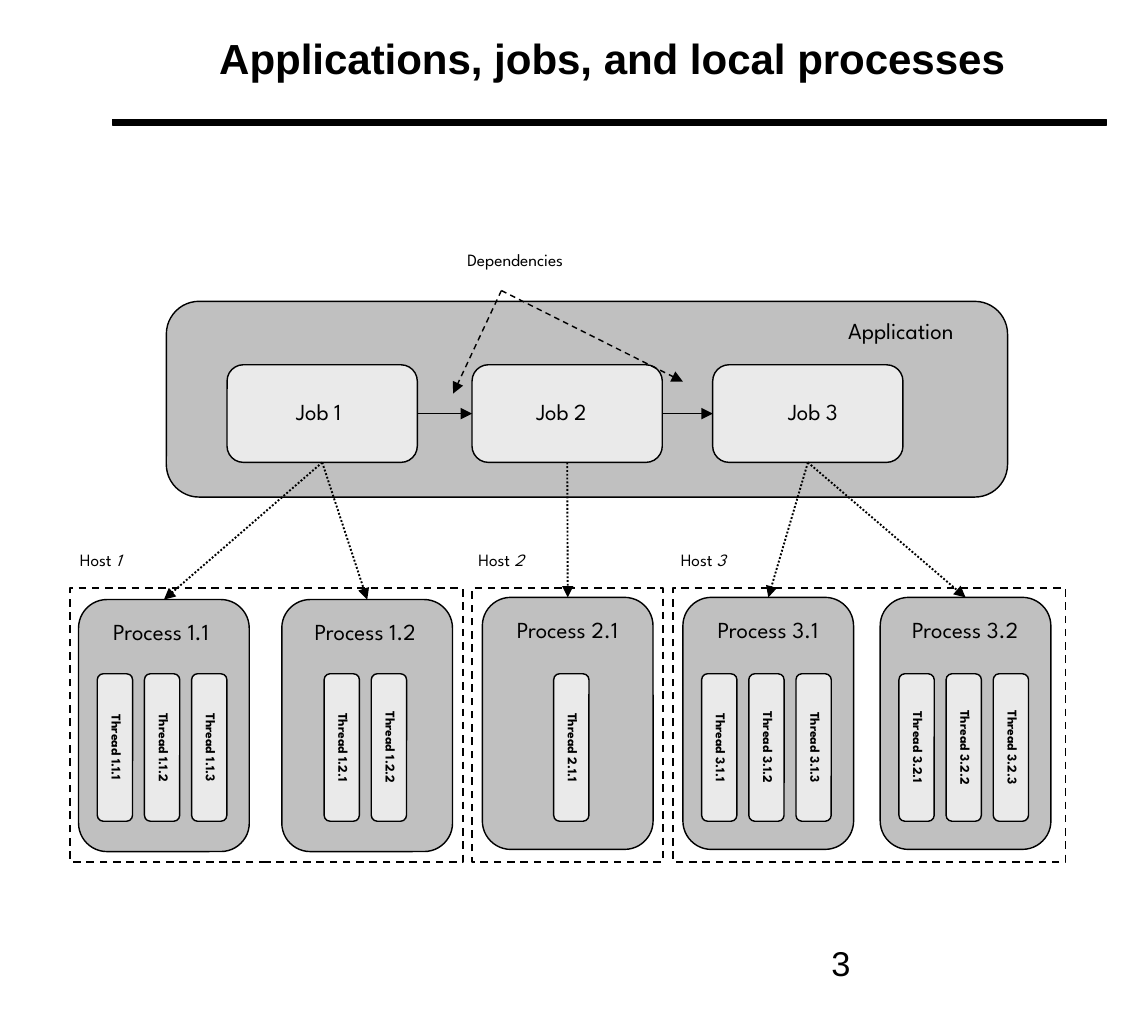
"""Build the slide on applications, jobs and local processes."""
from dataclasses import dataclass
from itertools import pairwise

from lxml.etree import SubElement
from pptx import Presentation
from pptx.dml.color import RGBColor
from pptx.enum.dml import MSO_LINE
from pptx.enum.shapes import MSO_CONNECTOR, MSO_SHAPE
from pptx.enum.text import MSO_ANCHOR, MSO_AUTO_SIZE, PP_ALIGN
from pptx.oxml.ns import qn
from pptx.util import Cm, Pt

BLACK, GREY, PALE = "000000", "C0C0C0", "EAEAEA"
CORNER = 0.167
JOB_TOP, JOB_WIDTH, JOB_HEIGHT = 6.73, 3.51, 1.8
PROCESS_WIDTH, PROCESS_HEIGHT = 3.15, 4.65
THREAD_LENGTH, THREAD_BREADTH, THREAD_STEP, THREAD_Y = 2.72, 0.65, 0.87, 13.79


@dataclass(frozen=True)
class Job:
    title: str
    left: float
    title_center: float

    @property
    def center(self) -> float:
        return self.left + JOB_WIDTH / 2


@dataclass(frozen=True)
class Process:
    number: str
    job: Job
    left: float
    threads: int
    top: float = 11.02
    title_shift: float = 0
    threads_middle: float = 1.54

    @property
    def center(self) -> float:
        return self.left + PROCESS_WIDTH / 2


@dataclass(frozen=True)
class Host:
    number: str
    label_left: float
    left: float
    width: float


JOBS = [Job("Job 1", 4.19, 5.88), Job("Job 2", 8.71, 10.36), Job("Job 3", 13.15, 15)]
PROCESSES = [
    Process("1.1", JOBS[0], 1.45, 3, top=11.06, title_shift=-0.05),
    Process("1.2", JOBS[0], 5.2, 2, top=11.06, title_shift=-0.03),
    Process("2.1", JOBS[1], 8.9, 1, threads_middle=1.64),
    Process("3.1", JOBS[2], 12.6, 3),
    Process("3.2", JOBS[2], 16.24, 3),
]
HOSTS = [Host("1", 0, 1.3, 7.24), Host("2", 7.39, 8.71, 3.53), Host("3", 11.12, 12.42, 7.24)]

presentation = Presentation()
presentation.slide_width, presentation.slide_height = Cm(21.18), Cm(19)
slide = presentation.slides.add_slide(presentation.slide_layouts[6])


def color(value: str) -> RGBColor:
    return RGBColor.from_string(value)


def add_box(left: float, top: float, width: float, height: float, *, fill: str | None = None,
            rounded: bool = True, rotation: float = 0, weight: float = 0.75, dash=None) -> None:
    kind = MSO_SHAPE.ROUNDED_RECTANGLE if rounded else MSO_SHAPE.RECTANGLE
    box = slide.shapes.add_shape(kind, Cm(left), Cm(top), Cm(width), Cm(height))
    box.shadow.inherit = False
    box.rotation = rotation
    if rounded:
        box.adjustments[0] = CORNER
    if fill:
        box.fill.solid()
        box.fill.fore_color.rgb = color(fill)
    else:
        box.fill.background()
    box.line.color.rgb = color(BLACK)
    box.line.width = Pt(weight)
    if dash:
        box.line.dash_style = dash


def add_text(text: str, left: float, top: float, width: float, height: float, *,
             size: float = 12, font: str = "League Spartan", bold: bool = False,
             italic_end: str = "", align=PP_ALIGN.CENTER, wrap: bool = False,
             grow: bool = True, rotation: float = 0) -> None:
    label = slide.shapes.add_textbox(Cm(left), Cm(top), Cm(width), Cm(height))
    label.rotation = rotation
    frame = label.text_frame
    frame.margin_left = frame.margin_right = Cm(0.18)
    frame.margin_top = frame.margin_bottom = Cm(0.08)
    frame.vertical_anchor = MSO_ANCHOR.TOP
    frame.word_wrap = wrap
    frame.auto_size = MSO_AUTO_SIZE.SHAPE_TO_FIT_TEXT if grow else MSO_AUTO_SIZE.NONE
    paragraph = frame.paragraphs[0]
    paragraph.alignment = align
    for part, italic in ((text, False), (italic_end, True)):
        if part:
            run = paragraph.add_run()
            run.text = part
            run.font.size = Pt(size)
            run.font.name = font
            run.font.bold = bold
            run.font.italic = italic
            run.font.color.rgb = color(BLACK)


def add_arrow(start: tuple[float, float], end: tuple[float, float], *,
              weight: float = 0.75, dash=None) -> None:
    arrow = slide.shapes.add_connector(MSO_CONNECTOR.STRAIGHT, *map(Cm, start + end))
    arrow.line.color.rgb = color(BLACK)
    arrow.line.width = Pt(weight)
    if dash:
        arrow.line.dash_style = dash
    SubElement(arrow.get_or_add_ln(), qn("a:tailEnd"), type="triangle")
    SubElement(arrow._element.spPr, qn("a:effectLst"))


def draw_job(job: Job) -> None:
    add_box(job.left, JOB_TOP, JOB_WIDTH, JOB_HEIGHT, fill=PALE)
    add_text(job.title, job.title_center - 0.66, 7.25, 1.32, 0.69)


def draw_process(process: Process) -> None:
    add_box(process.left, process.top, PROCESS_WIDTH, PROCESS_HEIGHT, fill=GREY)
    add_text(f"Process {process.number}", process.center + process.title_shift - 1.3,
             process.top + 0.25, 2.59, 0.69)
    first = process.left + process.threads_middle - THREAD_STEP * (process.threads - 1) / 2
    for index in range(process.threads):
        x = first + index * THREAD_STEP
        add_box(x - THREAD_LENGTH / 2, THREAD_Y - THREAD_BREADTH / 2,
                THREAD_LENGTH, THREAD_BREADTH, fill=PALE, rotation=90)
        add_text(f"Thread {process.number}.{index + 1}", x - 0.88, THREAD_Y - 0.23,
                 1.83, 0.46, size=7, bold=True, rotation=90)
    add_arrow((process.job.center, JOB_TOP + JOB_HEIGHT), (process.center, process.top),
              weight=1, dash=MSO_LINE.ROUND_DOT)


def draw_host(host: Host) -> None:
    add_box(host.left, 10.85, host.width, 5.05, rounded=False, weight=1, dash=MSO_LINE.DASH)
    add_text("Host ", host.label_left, 10.06, 3.71, 0.56, size=9,
             italic_end=host.number, wrap=True)


def main() -> None:
    add_box(3.07, 5.56, 15.52, 3.61, fill=GREY)
    add_text("Application", 15.47, 5.76, 2.57, 0.69, align=PP_ALIGN.LEFT)
    for job in JOBS:
        draw_job(job)
    for process in PROCESSES:
        draw_process(process)
    for before, after in pairwise(JOBS):
        add_arrow((before.left + JOB_WIDTH, 7.63), (after.left, 7.63))
    add_text("Dependencies", 7.65, 4.52, 3.71, 0.56, size=9, wrap=True)
    for target in ((8.36, 7.26), (12.6, 7.04)):
        add_arrow((9.25, 5.36), target, dash=MSO_LINE.DASH)
    for host in HOSTS:
        draw_host(host)
    add_box(2.08, 2.21, 18.34, 0.1, fill=BLACK, rounded=False)
    add_text("Applications, jobs, and local processes", 3.3, 0.51, 16, 1.09,
             size=22, font="Arial", bold=True, wrap=True)
    add_text("3", 15.16, 17.3, 4.93, 1.32, size=18, font="Arial",
             align=PP_ALIGN.LEFT, wrap=True, grow=False)
    presentation.save("out.pptx")


if __name__ == "__main__":
    main()
